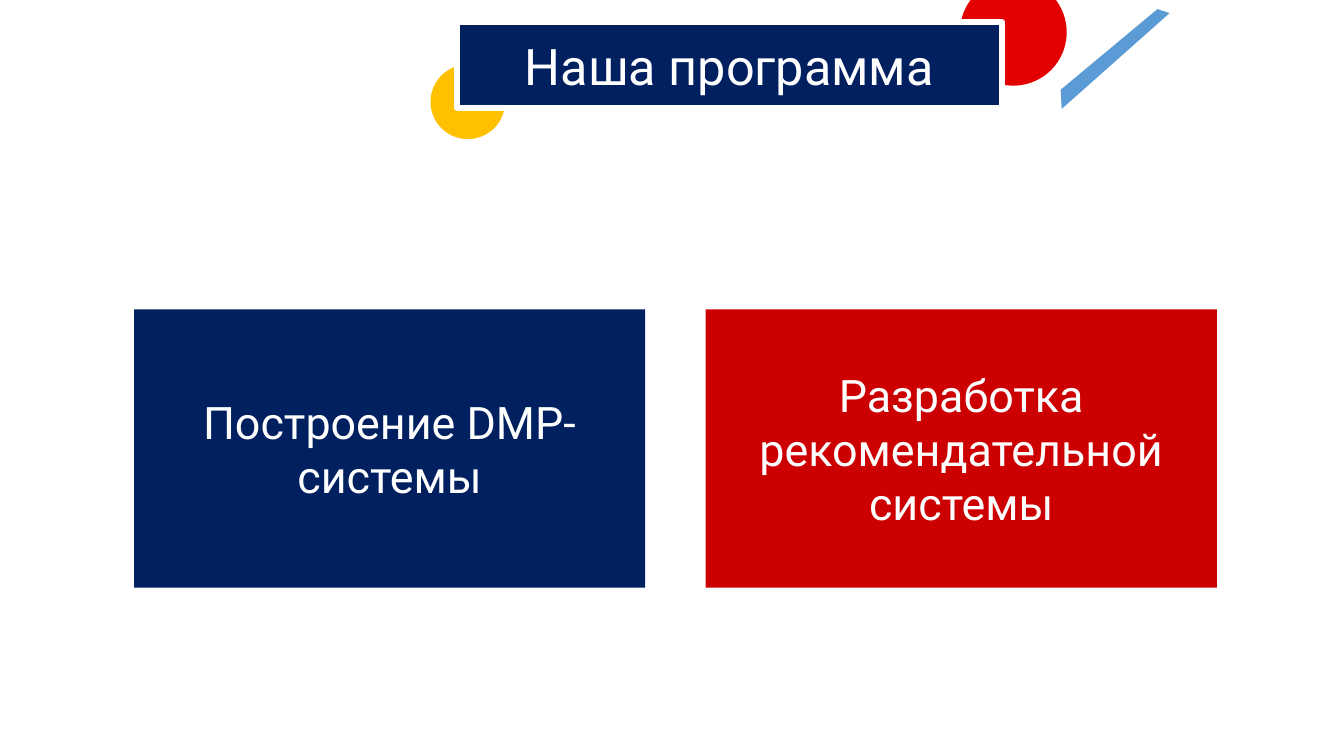
from pptx import Presentation
from pptx.dml.color import RGBColor
from pptx.enum import shapes, text
from pptx.util import Inches, Pt

COLORS = {
    "navy": "002060",
    "red": "CC0000",
    "bright_red": "E20000",
    "yellow": "FFC000",
    "blue": "5B9BD5",
    "white": "FFFFFF",
}


def paint(shape, color):
    shape.fill.solid()
    shape.fill.fore_color.rgb = RGBColor.from_string(COLORS[color])
    shape.line.fill.background()


def write(shape, wording, size):
    frame = shape.text_frame
    frame.word_wrap = True
    frame.auto_size = text.MSO_AUTO_SIZE.NONE
    frame.vertical_anchor = text.MSO_ANCHOR.MIDDLE
    paragraph = frame.paragraphs[0]
    paragraph.alignment = text.PP_ALIGN.CENTER
    run = paragraph.add_run()
    run.text = wording
    run.font.name = "Roboto"
    run.font.size = Pt(size)
    run.font.color.rgb = RGBColor.from_string(COLORS["white"])


prs = Presentation()
prs.slide_width = Inches(13.33)
prs.slide_height = Inches(7.5)
slide = prs.slides.add_slide(prs.slide_layouts[5])

stroke_points = [(11.6, 0.13), (10.53, 1.08), (10.52, 0.89)]
builder = slide.shapes.build_freeform(Inches(11.48), Inches(0.09))
builder.add_line_segments([(Inches(x), Inches(y)) for x, y in stroke_points], close=True)
stroke = builder.convert_to_shape()
stroke.shadow.inherit = False
paint(stroke, "blue")

for left, top, diameter, color in [(4.27, 0.64, 0.74, "yellow"), (9.52, -0.21, 1.06, "bright_red")]:
    circle = slide.shapes.add_shape(
        shapes.MSO_SHAPE.OVAL, Inches(left), Inches(top), Inches(diameter), Inches(diameter)
    )
    circle.shadow.inherit = False
    paint(circle, color)

title = slide.shapes.title
title.left, title.top = Inches(4.53), Inches(0.22)
title.width, title.height = Inches(5.41), Inches(0.85)
paint(title, "navy")
title.line.color.rgb = RGBColor.from_string(COLORS["white"])
title.line.width = Pt(4)
write(title, "Наша программа", 36)
title.element.getparent().append(title.element)

topics = [("Построение DMP-системы", "navy"), ("Разработка рекомендательной системы", "red")]
for column, (topic, color) in enumerate(topics):
    card = slide.shapes.add_shape(
        shapes.MSO_SHAPE.RECTANGLE,
        Inches(1.33 + column * 5.67), Inches(3.07), Inches(5.07), Inches(2.76),
    )
    card.shadow.inherit = False
    paint(card, color)
    write(card, topic, 32)

prs.save("out.pptx")
